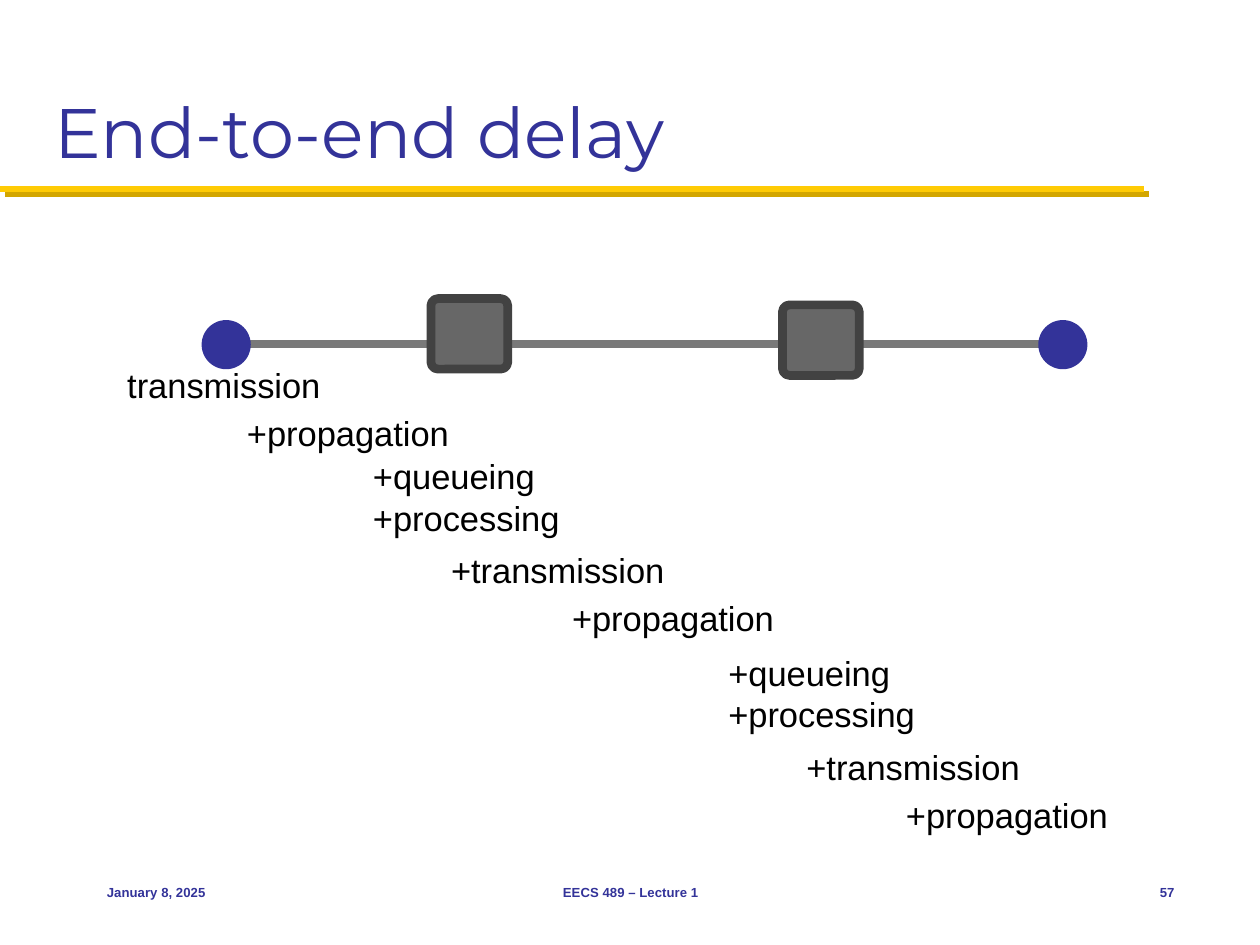
from dataclasses import dataclass

from lxml import etree
from pptx import Presentation
from pptx.dml.color import RGBColor
from pptx.enum.shapes import MSO_CONNECTOR, MSO_SHAPE
from pptx.enum.text import MSO_ANCHOR, PP_ALIGN
from pptx.oxml.ns import qn
from pptx.util import Inches, Pt

STRAIGHT = MSO_CONNECTOR.STRAIGHT
OVAL, ROUNDED = MSO_SHAPE.OVAL, MSO_SHAPE.ROUNDED_RECTANGLE
MIDDLE, BOTTOM = MSO_ANCHOR.MIDDLE, MSO_ANCHOR.BOTTOM
LEFT, CENTER, RIGHT = PP_ALIGN.LEFT, PP_ALIGN.CENTER, PP_ALIGN.RIGHT


@dataclass(frozen=True)
class Theme:
    """Colours, fonts and type sizes of the deck."""
    navy: str = "333399"
    black: str = "000000"
    gold: str = "FFCB05"
    gold_shadow: str = "D3A600"
    link: str = "797979"
    router: str = "676767"
    router_edge: str = "424242"
    title_font: str = "Montserrat"
    body_font: str = "Arial"
    title_size: float = 40
    label_size: float = 19.7
    footer_size: float = 7.5


class SlideBuilder:
    """Draws styled elements on the current slide."""

    def __init__(self, prs, theme):
        self.theme = theme
        self.slide = prs.slides.add_slide(prs.slide_layouts[5])

    def set_text(self, sp, text, font, size, color, align=LEFT, anchor=MIDDLE,
                 margins=(0.1, 0.05), bold=False):
        """Fill a shape with one formatted paragraph."""
        tf = sp.text_frame
        tf.text = text
        tf.word_wrap = True
        tf.vertical_anchor = anchor
        tf.margin_left = tf.margin_right = Inches(margins[0])
        tf.margin_top = tf.margin_bottom = Inches(margins[1])
        p = tf.paragraphs[0]
        p.alignment = align
        f = p.runs[0].font
        f.name, f.size, f.bold = font, Pt(size), bold
        f.color.rgb = RGBColor.from_string(color)

    def title(self, text, x, y, w, h):
        """Place and format the title placeholder."""
        sp = self.slide.shapes.title
        sp.left, sp.top, sp.width, sp.height = map(Inches, (x, y, w, h))
        t = self.theme
        self.set_text(sp, text, t.title_font, t.title_size, t.navy,
                      anchor=BOTTOM)

    def text(self, x, y, w, h, text, **style):
        """Add a text box in the body font."""
        sp = self.slide.shapes.add_textbox(*map(Inches, (x, y, w, h)))
        self.set_text(sp, text, self.theme.body_font, **style)

    def label(self, x, y, text, w=1.87):
        """Add one delay term."""
        t = self.theme
        self.text(x, y, w, 0.41, text, size=t.label_size, color=t.black,
                  margins=(0.04, 0.04))

    def footer(self, x, w, text, align):
        """Add one footer field."""
        t = self.theme
        self.text(x, 6.83, w, 0.5, text, size=t.footer_size, color=t.navy,
                  align=align, bold=True)

    def line(self, x1, x2, y, color, width, shadow=None):
        """Add a horizontal line, with an offset shadow if a colour is given."""
        s = self.slide.shapes.add_connector(
            STRAIGHT, *map(Inches, (x1, y, x2, y)))
        s.line.color.rgb = RGBColor.from_string(color)
        s.line.width = Pt(width)
        effects = etree.SubElement(s._element.spPr, qn("a:effectLst"))
        if shadow:
            outer = etree.SubElement(effects, qn("a:outerShdw"),
                                     dist=str(Pt(4.2)), dir="2700000",
                                     algn="ctr", rotWithShape="0")
            etree.SubElement(outer, qn("a:srgbClr"), val=shadow)

    def shape(self, kind, x, y, w, h, fill):
        """Add a filled shape without outline or shadow."""
        s = self.slide.shapes.add_shape(kind, *map(Inches, (x, y, w, h)))
        s.shadow.inherit = False
        s.fill.solid()
        s.fill.fore_color.rgb = RGBColor.from_string(fill)
        s.line.fill.background()
        return s

    def host(self, x):
        """Add an end host on the link."""
        self.shape(OVAL, x, 2.54, 0.39, 0.39, self.theme.navy)

    def router(self, x, y):
        """Add a router on the link."""
        t = self.theme
        s = self.shape(ROUNDED, x, y, 0.61, 0.56, t.router)
        s.adjustments[0] = 0.1
        s.line.color.rgb = RGBColor.from_string(t.router_edge)
        s.line.width = Pt(5)


def main():
    """Build the end-to-end delay slide."""
    prs = Presentation()
    prs.slide_width, prs.slide_height = Inches(10), Inches(7.5)
    theme = Theme()
    b = SlideBuilder(prs, theme)

    b.line(0, 9.08, 1.5, theme.gold, 3.5, shadow=theme.gold_shadow)
    b.title("End-to-end delay", 0.33, 0.17, 9.33, 1.25)

    b.line(1.85, 8.35, 2.73, theme.link, 5)
    for x in (1.6, 8.24):
        b.host(x)
    for x, y in ((3.42, 2.37), (6.21, 2.42)):
        b.router(x, y)

    b.label(0.97, 2.85, "transmission")
    b.label(1.92, 3.23, "+propagation")
    for x, y, propagation_x in ((2.92, 3.57, 4.5), (5.74, 5.13, 7.15)):
        b.label(x, y, "+queueing")
        b.label(x, y + 0.33, "+processing")
        b.label(x + 0.62, y + 0.75, "+transmission")
        b.label(propagation_x, y + 1.13, "+propagation")

    b.footer(0.75, 2.08, "January 8, 2025", LEFT)
    b.footer(3.42, 3.17, "EECS 489 – Lecture 1", CENTER)
    b.footer(8.75, 0.67, "57", RIGHT)
    prs.save("out.pptx")


if __name__ == "__main__":
    main()
